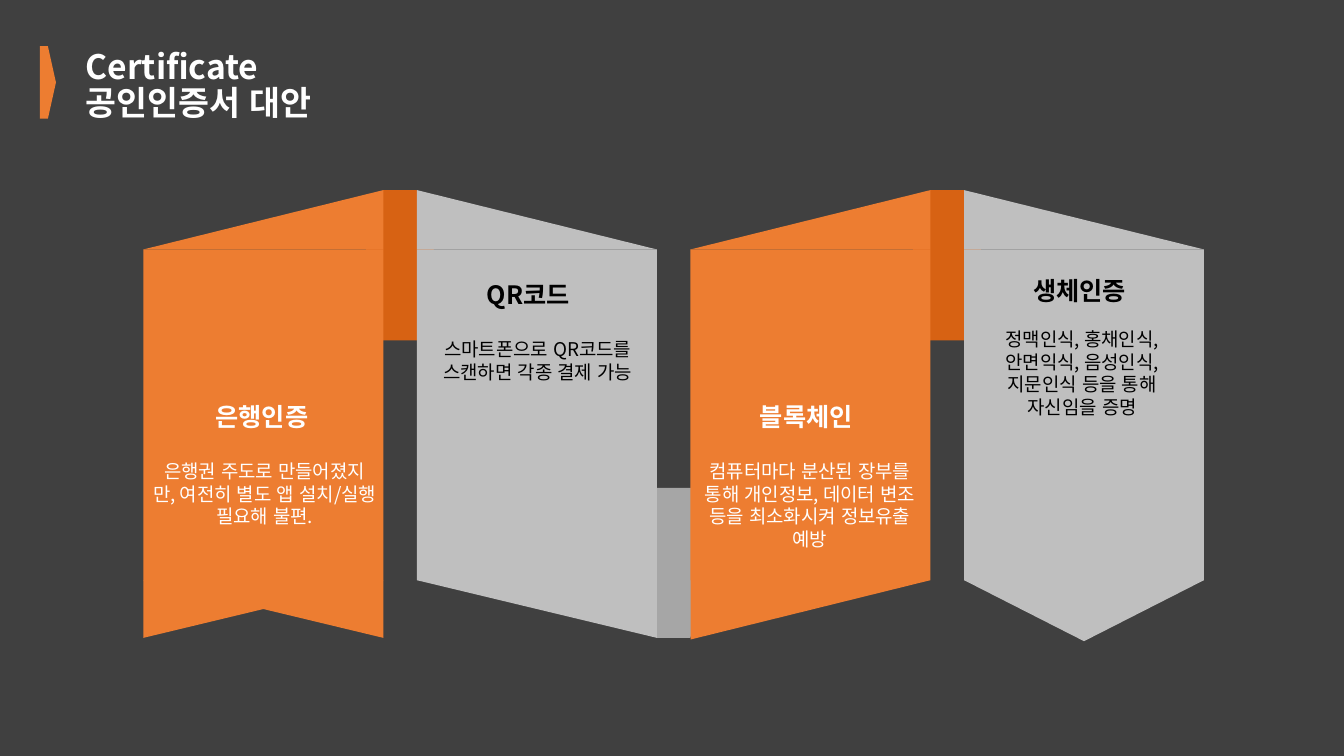
from pptx import Presentation
from pptx.dml.color import RGBColor
from pptx.enum.lang import MSO_LANGUAGE_ID
from pptx.enum.shapes import MSO_SHAPE
from pptx.enum.text import MSO_ANCHOR, PP_ALIGN
from pptx.oxml.ns import qn
from pptx.util import Pt
from lxml.etree import SubElement

FONT = "Noto Sans CJK KR"
COLORS = {
    "background": "404040",
    "orange": "ED7D31",
    "dark orange": "D76213",
    "silver": "BFBFBF",
    "gray": "A6A6A6",
    "white": "FFFFFF",
    "black": "000000",
}


def add_piece(kind, left, top, width, height, color, rotation=0, flip=False):
    piece = page.shapes.add_shape(kind, Pt(left), Pt(top), Pt(width), Pt(height))
    piece.shadow.inherit = False
    piece.fill.solid()
    piece.fill.fore_color.rgb = RGBColor.from_string(COLORS[color])
    piece.line.fill.background()
    piece.rotation = rotation
    if flip:
        piece._element.spPr.get_or_add_xfrm().set("flipH", "1")
    return piece


def write_text(box, text, size, color, bold, spacing, align):
    frame = box.text_frame
    frame.word_wrap = True
    frame.vertical_anchor = MSO_ANCHOR.TOP
    frame.text = text
    for para in frame.paragraphs:
        para.alignment = align
        para.line_spacing = Pt(spacing)
        para.space_before = Pt(0)
        for span in para.runs:
            span.font.name = FONT
            span.font.size = Pt(size)
            span.font.bold = bold
            span.font.color.rgb = RGBColor.from_string(COLORS[color])
            span.font.language_id = MSO_LANGUAGE_ID.KOREAN
            SubElement(span.font._element, qn("a:ea")).set("typeface", FONT)


deck = Presentation()
deck.slide_width, deck.slide_height = Pt(960), Pt(540)
page = deck.slides.add_slide(deck.slide_layouts[5])
page.background.fill.solid()
page.background.fill.fore_color.rgb = RGBColor.from_string(COLORS["background"])

add_piece(MSO_SHAPE.PENTAGON, 28.5, 33, 11.5, 51.8, "orange")
title = page.shapes.title
title.left, title.top, title.width, title.height = Pt(54), Pt(33), Pt(193), Pt(58)
write_text(title, "Certificate\n공인인증서 대안", 24, "white", True, 25.2, PP_ALIGN.LEFT)

FIRST_LEFT, PITCH, WIDTH = 102.4, 195.4, 171.4
TOP, BODY_TOP, BODY_BOTTOM = 135.8, 178.2, 414.4
FOLD_OFFSET, FOLD_WIDTH, FOLD_HEIGHT = 140.4, 85.7, 107.3

folds = [
    (1, 348.4, "gray", 180),
    (0, TOP, "dark orange", 0),
    (2, TOP, "dark orange", 0),
]
for index, top, color, rotation in folds:
    left = FIRST_LEFT + index * PITCH + FOLD_OFFSET
    fold = add_piece(MSO_SHAPE.TRAPEZOID, left, top, FOLD_WIDTH, FOLD_HEIGHT, color, rotation)
    fold.adjustments[0] = 0.36

RIGHT_TRIANGLE, TRIANGLE = MSO_SHAPE.RIGHT_TRIANGLE, MSO_SHAPE.ISOSCELES_TRIANGLE
ribbons = [
    ("orange", [(RIGHT_TRIANGLE, False), (RIGHT_TRIANGLE, True)], 41.2),
    ("silver", [(RIGHT_TRIANGLE, False)], 41.2),
    ("orange", [(RIGHT_TRIANGLE, True)], 42.4),
    ("silver", [(TRIANGLE, False)], 43.6),
]
for index, (color, tails, tail_height) in enumerate(ribbons):
    left = FIRST_LEFT + index * PITCH
    add_piece(RIGHT_TRIANGLE, left, TOP, WIDTH, BODY_TOP - TOP, color, flip=color == "orange")
    add_piece(MSO_SHAPE.RECTANGLE, left, BODY_TOP, WIDTH, BODY_BOTTOM - BODY_TOP, color)
    for kind, flip in tails:
        add_piece(kind, left, BODY_BOTTOM, WIDTH, tail_height, color, 180, flip)

captions = [
    ("은행인증", 146.9, 283, "은행권 주도로 만들어졌지만, 여전히 별도 앱 설치/실행 필요해 불편.",
     102.2, 324.7, 56, "white"),
    ("QR코드", 340.6, 195.8, "스마트폰으로 QR코드를 스캔하면 각종 결제 가능",
     297.4, 237.6, 40, "black"),
    ("블록체인", 535.7, 283, "컴퓨터마다 분산된 장부를 통해 개인정보, 데이터 변조 등을 최소화시켜 정보유출 예방",
     491.8, 324.7, 72, "white"),
    ("생체인증", 730.8, 193, "정맥인식, 홍채인식, 안면익식, 음성인식, 지문인식 등을 통해 자신임을 증명",
     686.2, 230.4, 72, "black"),
]
for heading, heading_left, heading_top, detail, left, top, height, color in captions:
    box = page.shapes.add_textbox(Pt(heading_left), Pt(heading_top), Pt(87), Pt(29))
    write_text(box, heading, 18, color, True, 21.6, PP_ALIGN.LEFT)
    box = page.shapes.add_textbox(Pt(left), Pt(top), Pt(173.5), Pt(height))
    write_text(box, detail, 13.5, color, False, 16.2, PP_ALIGN.CENTER)

deck.save("out.pptx")
